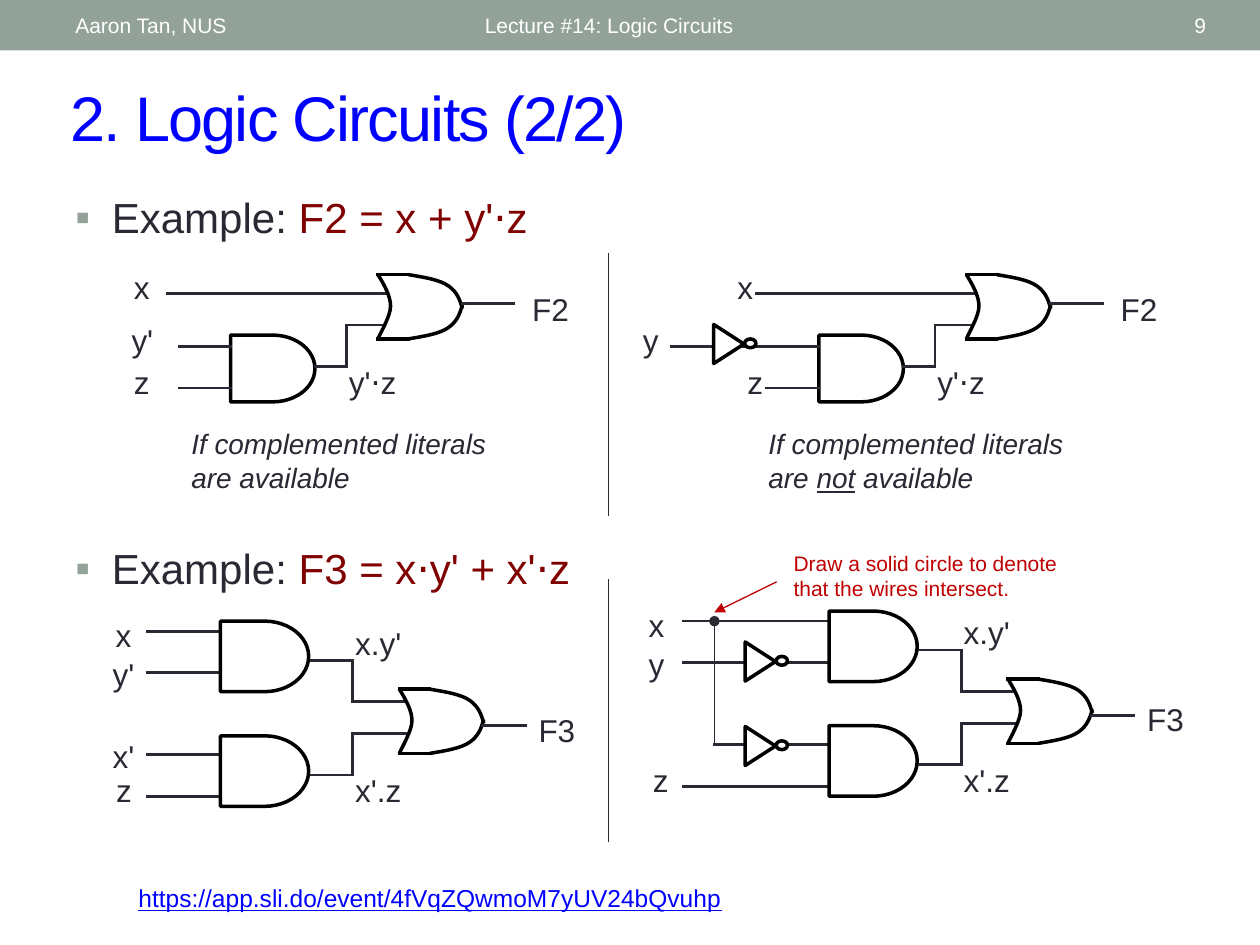
from dataclasses import dataclass
from itertools import pairwise

from lxml import etree
from pptx import Presentation
from pptx import util as u
from pptx.dml.color import RGBColor
from pptx.enum import shapes, text
from pptx.oxml import ns


@dataclass(frozen=True)
class Theme:
    """Colours, font and sizes in points of the lecture slides."""
    font: str = "Arial"
    band: str = "93A299"
    blue: str = "0000FF"
    ink: str = "292934"
    formula: str = "800000"
    note: str = "C00000"
    gate: str = "000000"
    white: str = "FFFFFF"
    title_size: int = 36
    bullet_size: int = 24
    label_size: int = 18
    caption_size: int = 16
    link_size: int = 14
    small_size: int = 12
    gate_line: float = 2
    wire_line: float = 1.5
    thin_line: float = 0.75


def length(inches):
    """Turn a position on the 10 by 7.5 inch grid into a Cm length."""
    return u.Cm(inches * 2.54)


class LogicSlide:
    """Draws text, wires and gates on the current slide in one theme."""

    def __init__(self, slide, theme):
        self.slide, self.theme = slide, theme

    def outline(self, part, fill=None):
        """Give a gate part its outline and optional fill."""
        part.shadow.inherit = False
        if fill:
            part.fill.solid()
            part.fill.fore_color.rgb = RGBColor.from_string(fill)
        else:
            part.fill.background()
        part.line.color.rgb = RGBColor.from_string(self.theme.gate)
        part.line.width = u.Pt(self.theme.gate_line)

    def preset(self, kind, left, top, width, height, fill=None):
        """Add an outlined preset shape."""
        part = self.slide.shapes.add_shape(kind, *map(length, (left, top, width, height)))
        self.outline(part, fill)
        return part

    def band(self, height):
        """Add the coloured band across the top."""
        header = self.preset(shapes.MSO_SHAPE.RECTANGLE, 0, 0, 10, height, self.theme.band)
        header.line.fill.background()

    def words(self, box, parts, size, color, align=text.PP_ALIGN.LEFT, middle=False,
              italic=None, bullet=False, spacing=None):
        """Add one paragraph made of (wording, colour, underline) parts."""
        frame = self.slide.shapes.add_textbox(*map(length, box)).text_frame
        frame.word_wrap = True
        if middle:
            frame.vertical_anchor = text.MSO_ANCHOR.MIDDLE
        paragraph = frame.paragraphs[0]
        paragraph.alignment = align
        if bullet:
            self.bullet(paragraph)
        if isinstance(parts, str):
            parts = [(parts, color, None)]
        paragraph.text = parts[0][0]
        for wording, _, _ in parts[1:]:
            paragraph.add_run().text = wording
        for run, (_, tint, underline) in zip(paragraph.runs, parts):
            run.font.name, run.font.size = self.theme.font, u.Pt(size)
            run.font.color.rgb = RGBColor.from_string(tint)
            run.font.italic, run.font.underline = italic, underline
            if spacing:
                run.font._element.set("spc", str(spacing))
        return frame

    def bullet(self, paragraph):
        """Set a small square bullet with a hanging indent."""
        properties = paragraph._p.get_or_add_pPr()
        properties.set("marL", str(length(0.29)))
        properties.set("indent", str(-length(0.29)))
        tint = etree.SubElement(properties, ns.qn("a:buClr"))
        etree.SubElement(tint, ns.qn("a:srgbClr"), val=self.theme.band)
        etree.SubElement(properties, ns.qn("a:buFont"), typeface=self.theme.font)
        etree.SubElement(properties, ns.qn("a:buChar"), char="▪")

    def example(self, top, height, formula):
        """Add a bulleted example with its formula."""
        t = self.theme
        self.words((0.5, top, 9, height), [("Example: ", t.ink, None), (formula, t.formula, None)],
                   t.bullet_size, t.ink, bullet=True)

    def signal(self, name, left, top, width=0.42):
        """Add a centred signal name."""
        self.words((left, top, width, 0.4), name, self.theme.label_size, self.theme.ink,
                   text.PP_ALIGN.CENTER)

    def product(self, name, left, top, width):
        """Add the product term beside a wire."""
        frame = self.words((left, top, width, 0.4), name, self.theme.label_size, self.theme.ink)
        frame.margin_right = 0

    def wire(self, *points, color=None, width=None, head=None, tail=None):
        """Join the points with straight connectors."""
        for start, end in pairwise(points):
            segment = self.slide.shapes.add_connector(
                shapes.MSO_CONNECTOR.STRAIGHT, *map(length, (*start, *end)))
            segment.line.color.rgb = RGBColor.from_string(color or self.theme.ink)
            segment.line.width = u.Pt(width or self.theme.wire_line)
            stroke = segment.line._get_or_add_ln()
            stroke.set("cap", "sq")
            for tag, mark in (("a:headEnd", head), ("a:tailEnd", tail)):
                if mark:
                    etree.SubElement(stroke, ns.qn(tag), type=mark)
            etree.SubElement(segment._element.spPr, ns.qn("a:effectLst"))

    def curve(self, left, top, points):
        """Add an open curve through a start and triples of control points."""
        start, *controls = [(length(left + x), length(top + y)) for x, y in points]
        builder = self.slide.shapes.build_freeform(*start)
        builder.add_line_segments(controls, close=False)
        bend = builder.convert_to_shape()
        self.outline(bend)
        steps = list(bend._element.iter(ns.qn("a:lnTo")))
        for first in range(0, len(steps), 3):
            cubic = etree.SubElement(steps[first].getparent(), ns.qn("a:cubicBezTo"))
            for step in steps[first:first + 3]:
                cubic.append(step[0])
                step.getparent().remove(step)

    def or_gate(self, left, top):
        """Add an OR gate from its back, edges and two front curves."""
        t = self.theme
        back = ((0, 0), (0.05, 0.08), (0.1, 0.17), (0.1, 0.25),
                (0.1, 0.33), (0.02, 0.46), (0, 0.51))
        front = ((0.24, 0), (0.36, 0.02), (0.49, 0.04), (0.56, 0.09),
                 (0.63, 0.14), (0.65, 0.2), (0.67, 0.27))
        self.curve(left, top, back)
        for edge in (top, top + 0.51):
            self.wire((left, edge), (left + 0.24, edge), color=t.gate, width=t.gate_line)
        self.curve(left, top, front)
        self.curve(left, top, [(x, 0.51 - y) for x, y in front])

    def and_gate(self, left, top, width=0.7, height=0.56):
        """Add an AND gate."""
        self.preset(shapes.MSO_SHAPE.FLOWCHART_DELAY, left, top, width, height)

    def inverter(self, left, top):
        """Add a NOT gate with its bubble."""
        white = self.theme.white
        triangle = self.preset(shapes.MSO_SHAPE.FLOWCHART_MERGE, left, top, 0.31, 0.24, white)
        triangle.rotation = 270
        self.preset(shapes.MSO_SHAPE.OVAL, left + 0.28, top + 0.08, 0.09, 0.07, white)

    def f2_circuit(self, dx, inputs):
        """Add the F2 gates, with inputs as (start, end, height) wires."""
        self.and_gate(dx + 1.83, 2.66, 0.67, 0.53)
        for start, end, y in inputs:
            self.wire((start, y), (dx + end, y))
        self.wire((dx + 2.5, 2.91), (dx + 2.75, 2.91), (dx + 2.75, 2.58), (dx + 3.05, 2.58))
        self.or_gate(dx + 3, 2.18)
        self.wire((dx + 3.67, 2.41), (dx + 4.08, 2.41))
        self.signal("F2", dx + 4.08, 2.25, 0.58)
        self.product("y'⋅z", dx + 2.67, 2.83, 0.58)

    def f3_circuit(self, dx, dy, starts):
        """Add the F3 gates, with one wire start for each input."""
        for y, start in zip((5.01, 5.34, 5.99, 6.32), starts):
            self.wire((start, dy + y), (dx + 1.75, dy + y))
        for gate_top, out, joint in ((4.93, 5.24, 5.57), (5.84, 6.15, 5.82)):
            self.and_gate(dx + 1.75, dy + gate_top)
            self.wire(*((dx + x, dy + y) for x, y in
                        ((2.47, out), (2.8, out), (2.8, joint), (3.22, joint))))
        self.or_gate(dx + 3.17, dy + 5.47)
        self.wire((dx + 3.83, dy + 5.76), (dx + 4.17, dy + 5.76))
        self.signal("F3", dx + 4.17, dy + 5.59, 0.5)
        self.product("x.y'", dx + 2.72, dy + 4.9, 0.62)
        self.product("x'.z", dx + 2.72, dy + 6.07, 0.62)


def main():
    """Build the logic circuits slide."""
    deck = Presentation()
    deck.slide_width, deck.slide_height = length(10), length(7.5)
    t = Theme()
    page = LogicSlide(deck.slides.add_slide(deck.slide_layouts[6]), t)

    page.band(0.4)
    for wording, left, width, align in (
            ("Aaron Tan, NUS", 0.5, 3.17, text.PP_ALIGN.LEFT),
            ("Lecture #14: Logic Circuits", 3.75, 4.5, text.PP_ALIGN.LEFT),
            ("9", 8.72, 0.95, text.PP_ALIGN.RIGHT)):
        page.words((left, 0.02, width, 0.36), wording, t.small_size, t.white, align, middle=True)
    page.words((0.46, 0.57, 9.07, 0.7), "2. Logic Circuits (2/2)", t.title_size, t.blue,
               middle=True, spacing=-100)
    page.example(1.47, 0.7, "F2 = x + y'⋅z")
    page.example(4.26, 0.58, "F3 = x⋅y' + x'⋅z")
    for top in (2.01, 4.6):
        page.wire((4.83, top), (4.83, top + 2.08), width=t.thin_line)

    page.f2_circuit(0, ((1.33, 3.08, 2.33), (1.42, 1.83, 2.75), (1.42, 1.83, 3.08)))
    page.f2_circuit(4.67, ((6, 3.08, 2.33), (5.33, 1.83, 2.75), (6.08, 1.83, 3.08)))
    page.inverter(5.63, 2.61)
    page.f3_circuit(0, 0, (1.17, 1.17, 1.17, 1.17))
    page.f3_circuit(4.83, -0.08, (5.42, 5.42, 5.67, 5.42))
    page.wire((5.67, 4.93), (5.67, 5.9), width=t.thin_line, head="oval")
    for top in (5.13, 5.8):
        page.inverter(5.88, top)

    for name, left, top, width in (
            ("x", 0.96, 2.08, 0.33), ("y'", 0.92, 2.5, 0.42), ("z", 0.96, 2.83, 0.33),
            ("x", 5.75, 2.08, 0.33), ("y", 5, 2.5, 0.33), ("z", 5.83, 2.83, 0.33),
            ("x", 0.77, 4.84, 0.42), ("y'", 0.77, 5.15, 0.42),
            ("x'", 0.77, 5.8, 0.42), ("z", 0.82, 6.07, 0.33),
            ("x", 5, 4.76, 0.42), ("y", 5, 5.07, 0.42), ("z", 5.08, 5.99, 0.33)):
        page.signal(name, left, top, width)

    for left, parts in (
            (1.42, "If complemented literals are available"),
            (6, [("If complemented literals are ", t.ink, None), ("not", t.ink, True),
                 (" available", t.ink, None)])):
        page.words((left, 3.34, 2.75, 0.64), parts, t.caption_size, t.ink, italic=True)
    page.wire((6.16, 4.62), (5.67, 4.86), color=t.note, width=t.thin_line, tail="triangle")
    page.words((6.2, 4.32, 2.32, 0.5), "Draw a solid circle to denote that the wires intersect.",
               t.small_size, t.note)
    page.words((1, 6.96, 7.72, 0.34),
               [("https://app.sli.do/event/4fVqZQwmoM7yUV24bQvuhp", t.blue, True)],
               t.link_size, t.blue)
    deck.save("out.pptx")


if __name__ == "__main__":
    main()
